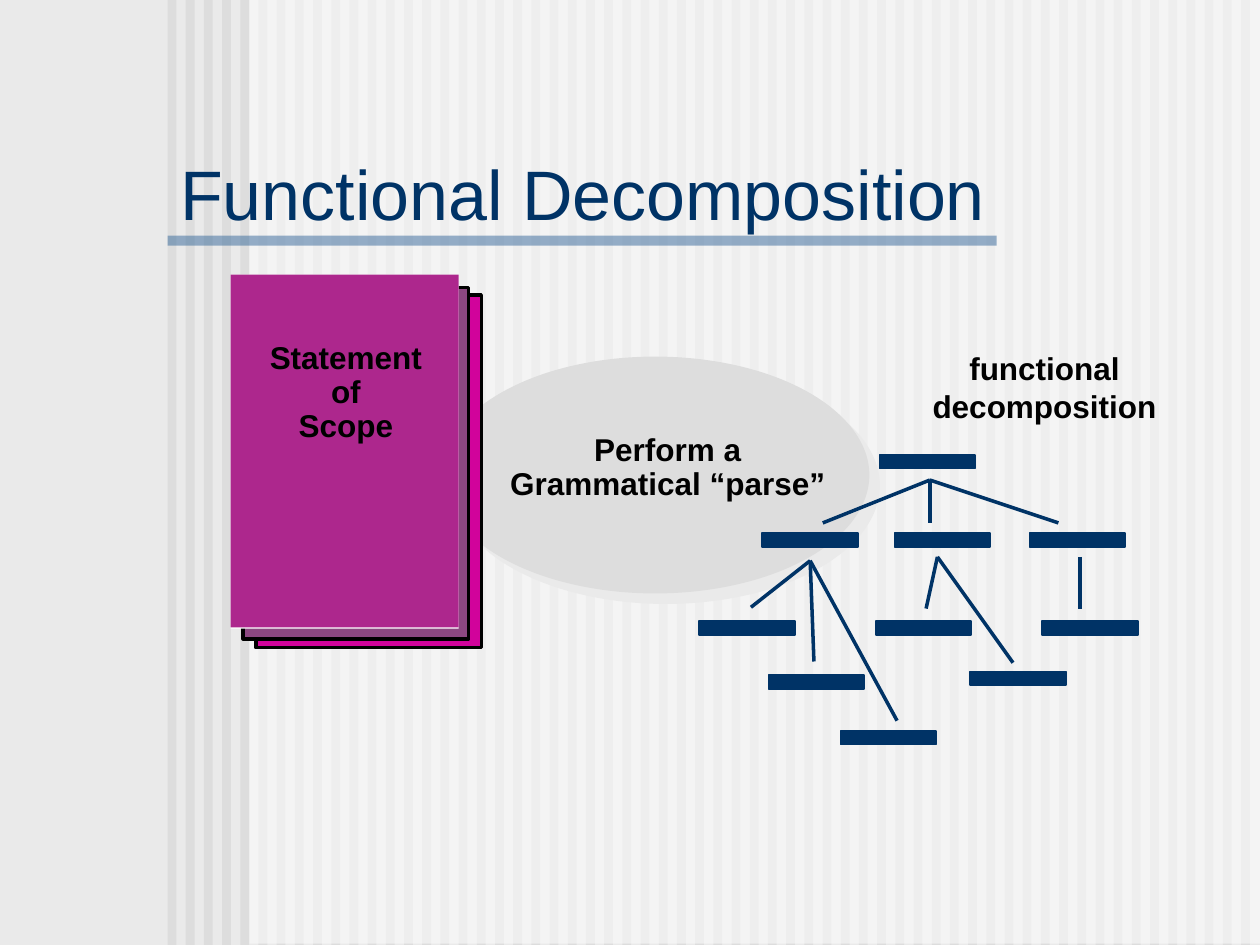
import pptx
import pptx.dml.color
import pptx.enum.shapes
import pptx.enum.text
import pptx.oxml
import pptx.oxml.ns
import pptx.util
from lxml import etree

Inches = pptx.util.Inches
Pt = pptx.util.Pt
SHAPE = pptx.enum.shapes.MSO_SHAPE
ALIGN = pptx.enum.text.PP_ALIGN
ANCHOR = pptx.enum.text.MSO_ANCHOR
qn = pptx.oxml.ns.qn

COLORS = {
    "backdrop": "EAEAEA", "stripe": "DDDDDD", "veil": "FFFFFF",
    "rule": "336699", "navy": "003366", "black": "000000",
    "back page": "D1039B", "middle page": "8C4881", "front page": "AD278D",
}


def rgb(name):
    return pptx.dml.color.RGBColor.from_string(COLORS[name])


class SlideBuilder:
    """Holds the text style and the current slide."""

    font = "Arial"
    frame_format = {"word_wrap": True, "vertical_anchor": ANCHOR.TOP}

    def __init__(self, slide):
        self.slide = slide
        self.shapes = slide.shapes

    def background(self, color):
        fill = self.slide.background.fill
        fill.solid()
        fill.fore_color.rgb = rgb(color)

    def style_font(self, font, size, color, bold=False):
        values = {"name": self.font, "size": Pt(size), "bold": bold}
        for name, value in values.items():
            setattr(font, name, value)
        font.color.rgb = rgb(color)

    def title(self, text, box, size):
        title = self.shapes.title
        for name, value in zip(("left", "top", "width", "height"), box):
            setattr(title, name, Inches(value))
        frame = title.text_frame
        for name, value in {"text": text, "vertical_anchor": ANCHOR.MIDDLE,
                            "word_wrap": True,
                            "auto_size": pptx.enum.text.MSO_AUTO_SIZE.NONE}.items():
            setattr(frame, name, value)
        frame.paragraphs[0].alignment = ALIGN.LEFT
        self.style_font(frame.paragraphs[0].runs[0].font, size, "navy")
        # Bring the title in front of the stripes
        title._element.getparent().append(title._element)

    def shape(self, box, color, kind=SHAPE.RECTANGLE, line=None, alpha=None):
        shape = self.shapes.add_shape(kind, *map(Inches, box))
        shape.shadow.inherit = False
        shape.fill.solid()
        shape.fill.fore_color.rgb = rgb(color)
        if line:
            line_color, width = line
            shape.line.color.rgb = rgb(line_color)
            shape.line.width = Pt(width)
        else:
            shape.line.fill.background()
        if alpha:
            fill_color = shape._element.spPr.find(qn("a:solidFill"))[0]
            etree.SubElement(fill_color, qn("a:alpha"), val=str(alpha * 1000))
        return shape

    def drop_shadow(self, shape, color, distance, angle):
        effects = shape._element.spPr.find(qn("a:effectLst"))
        shadow = etree.SubElement(
            effects, qn("a:outerShdw"), blurRad="0", dist=str(Pt(distance)),
            dir=str(angle * 60000), algn="ctr", rotWithShape="0")
        etree.SubElement(shadow, qn("a:srgbClr"), val=COLORS[color])

    def line(self, start, end, color="navy", width=2):
        connector = self.shapes.add_connector(
            pptx.enum.shapes.MSO_CONNECTOR.STRAIGHT,
            *map(Inches, (*start, *end)))
        connector.line.color.rgb = rgb(color)
        connector.line.width = Pt(width)
        etree.SubElement(connector._element.spPr, qn("a:effectLst"))

    def label(self, lines, box, **paragraph_format):
        frame = self.shapes.add_textbox(*map(Inches, box)).text_frame
        for name, value in self.frame_format.items():
            setattr(frame, name, value)
        frame.text = "\n".join(lines)
        for paragraph in frame.paragraphs:
            for name, value in {"alignment": ALIGN.CENTER, **paragraph_format}.items():
                setattr(paragraph, name, value)
            self.style_font(paragraph.runs[0].font, 18, "black", bold=True)


def main():
    deck = pptx.Presentation()
    deck.slide_width, deck.slide_height = Inches(10), Inches(7.5)
    builder = SlideBuilder(deck.slides.add_slide(deck.slide_layouts[5]))

    # Striped backdrop, lightened right of the margin
    builder.background("backdrop")
    stripe_count, first, last = 60, 1.33, 9.85
    pitch = (last - first) / (stripe_count - 1)
    for index in range(stripe_count):
        builder.shape((first + index * pitch, 0, 0.07, 7.5), "stripe")
    builder.shape((1.98, 0, 8.02, 7.49), "veil", alpha=50)

    # Title and its rule
    builder.shape((1.33, 1.87, 6.58, 0.08), "rule", alpha=50)
    builder.title("Functional Decomposition", (1.33, 1.25, 7.56, 0.56), 40)

    # Parsing step
    parse_step = builder.shape((3.5, 2.83, 3.4, 1.88), "stripe", SHAPE.OVAL)
    builder.drop_shadow(parse_step, "backdrop", 8.5, 45)

    # Stack of scope pages
    builder.shape((2.03, 2.34, 1.79, 2.8), "back page", line=("black", 2))
    builder.shape((1.93, 2.28, 1.79, 2.79), "middle page", line=("black", 2))
    builder.shape((1.83, 2.18, 1.81, 2.81), "veil")
    builder.shape((1.83, 2.18, 1.81, 2.8), "front page")

    # Function tree: bars by level
    bar_width, bar_height = 0.76, 0.11
    levels = {
        3.61: (6.98,),
        4.23: (6.05, 7.1, 8.17),
        4.93: (5.55, 6.95, 8.27),
        5.33: (7.7,),
        5.36: (6.1,),
        5.8: (6.67,),
    }
    for top, lefts in levels.items():
        for left in lefts:
            builder.shape((left, top, bar_width, bar_height), "navy",
                          line=("navy", 1))

    # Function tree: branches from each parent
    branches = {
        (7.38, 3.81): ((6.53, 4.15), (7.38, 4.15), (8.4, 4.15)),
        (6.43, 4.45): ((5.96, 4.82), (6.46, 5.25), (7.12, 5.72)),
        (7.44, 4.42): ((7.35, 4.83), (8.04, 5.26)),
        (8.57, 4.42): ((8.57, 4.83),),
    }
    for parent, children in branches.items():
        for child in children:
            builder.line(parent, child)

    # Labels
    builder.label(("functional", "decomposition"), (7.3, 2.72, 1.98, 0.7))
    builder.label(("Statement", "of", "Scope"), (2.04, 2.67, 1.41, 0.91),
                  line_spacing=0.9)
    builder.label(("Perform a Grammatical “parse”",), (3.92, 3.4, 2.76, 0.64),
                  line_spacing=0.9)

    deck.save("out.pptx")


if __name__ == "__main__":
    main()
